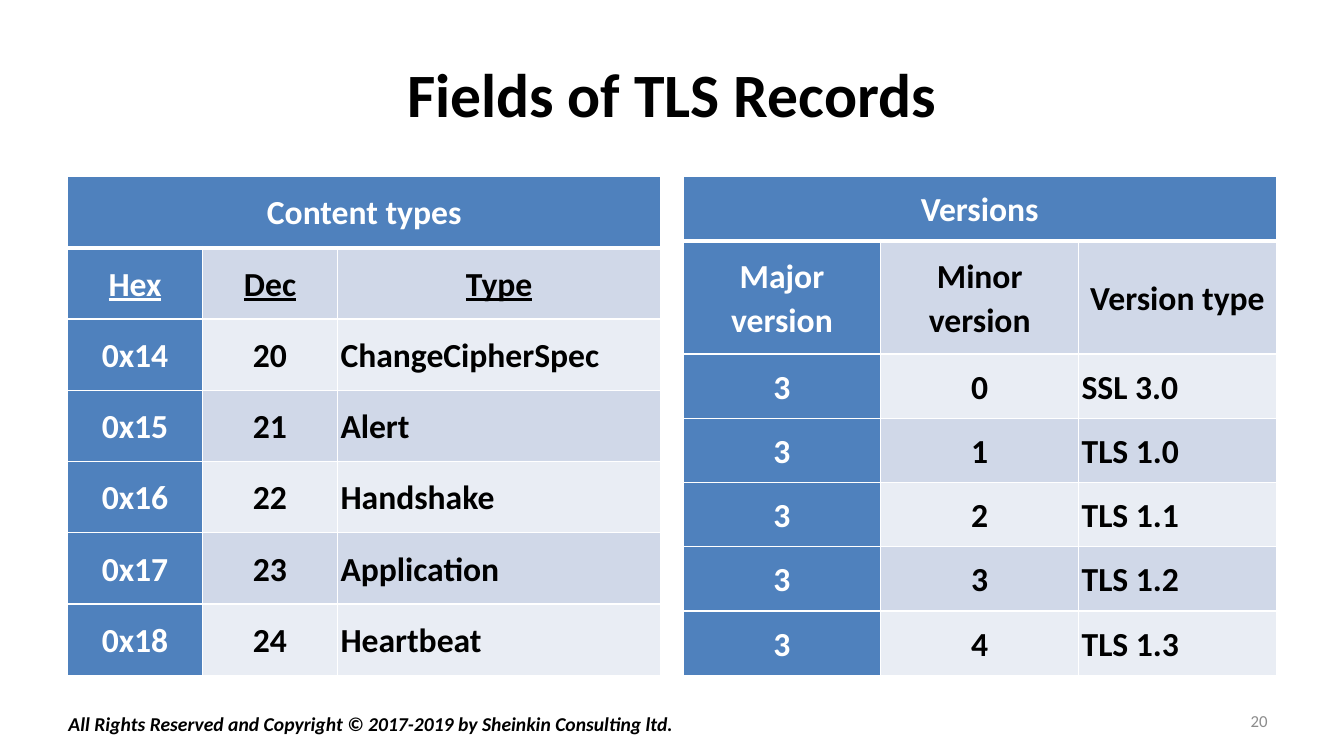
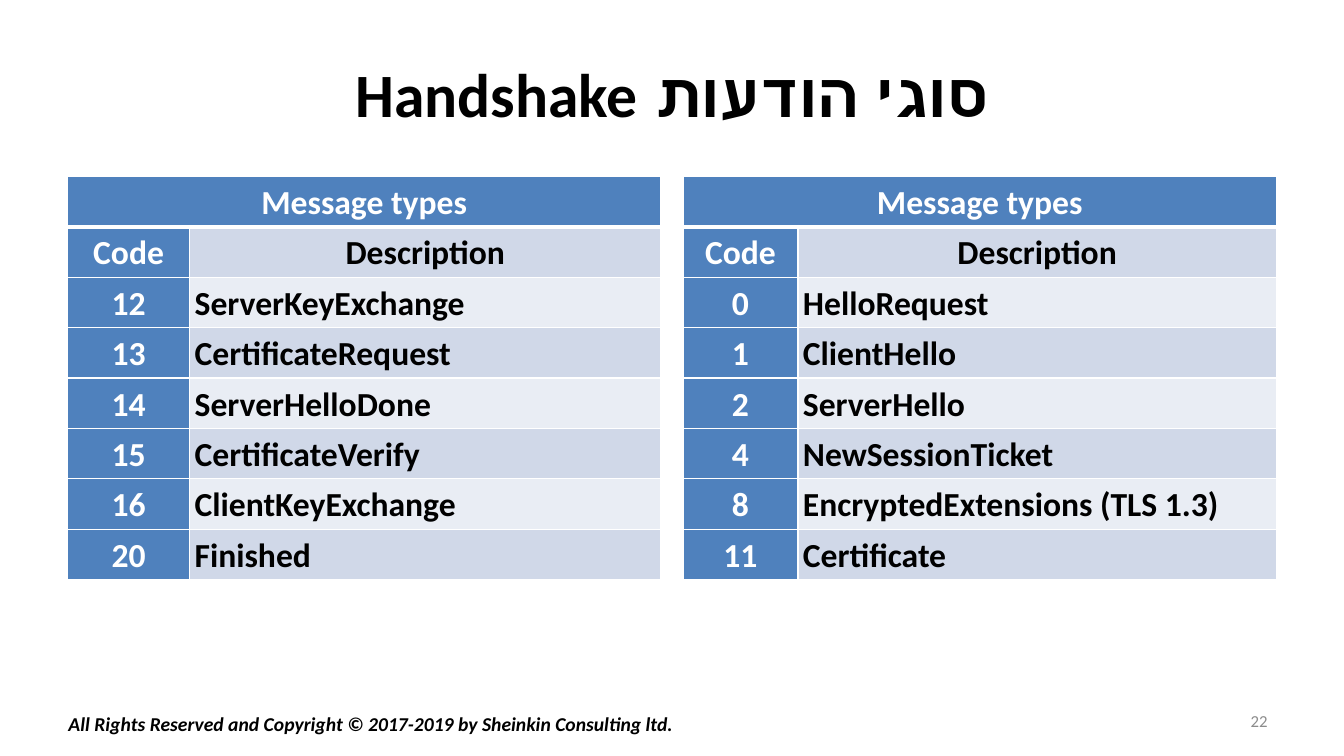
from pptx import Presentation
from pptx.dml.color import RGBColor
from pptx.enum.text import MSO_ANCHOR, PP_ALIGN
from pptx.oxml import parse_xml
from pptx.oxml.ns import nsdecls
from pptx.util import Inches, Pt

BLUE = RGBColor(0x4F, 0x81, 0xBD)
BAND_DARK = RGBColor(0xD0, 0xD8, 0xE8)
BAND_LIGHT = RGBColor(0xE9, 0xED, 0xF4)
WHITE = RGBColor(0xFF, 0xFF, 0xFF)
BLACK = RGBColor(0x00, 0x00, 0x00)
GRAY = RGBColor(0x8C, 0x8C, 0x8C)

LEFT, CENTER, RIGHT = PP_ALIGN.LEFT, PP_ALIGN.CENTER, PP_ALIGN.RIGHT
TOP, MIDDLE = MSO_ANCHOR.TOP, MSO_ANCHOR.MIDDLE
FONT = "Calibri"

# Page grid in inches: two equal columns between the side margins
SLIDE_WIDTH, SLIDE_HEIGHT = 13.33, 7.5
MARGIN, GAP, TABLE_TOP = 0.67, 0.22, 1.75
CONTENT_WIDTH = SLIDE_WIDTH - 2 * MARGIN
TABLE_WIDTH = (CONTENT_WIDTH - GAP) / 2

COPYRIGHT = "All Rights Reserved and Copyright © 2017-2019 by Sheinkin Consulting ltd."

SLIDES = [
    {
        "title": "Fields of TLS Records",
        "number": "20",
        "height": 4.95,
        "insets": (0.03, 0.02),
        "tables": [
            {
                "heading": "Content types",
                "underlined": True,
                "columns": [1.34, 1.34, 3.21],
                "rows": [1] * 7,
                "cells": [
                    ("Hex", "Dec", "Type"),
                    ("0x14", "20", "ChangeCipherSpec"),
                    ("0x15", "21", "Alert"),
                    ("0x16", "22", "Handshake"),
                    ("0x17", "23", "Application"),
                    ("0x18", "24", "Heartbeat"),
                ],
            },
            {
                "heading": "Versions",
                "columns": [1, 1, 1],
                "rows": [0.64, 1.13] + [0.64] * 5,
                "cells": [
                    ("Major\vversion", "Minor\vversion", "Version type"),
                    ("3", "0", "SSL 3.0"),
                    ("3", "1", "TLS 1.0"),
                    ("3", "2", "TLS 1.1"),
                    ("3", "3", "TLS 1.2"),
                    ("3", "4", "TLS 1.3"),
                ],
            },
        ],
    },
    {
        "title": "סוגי הודעות Handshake",
        "number": "22",
        "height": 4.0,
        "insets": (0.05, 0.03),
        "tables": [
            {
                "heading": "Message types",
                "columns": [1.21, 4.67],
                "rows": [1] * 8,
                "cells": [
                    ("Code", "Description"),
                    ("12", "ServerKeyExchange"),
                    ("13", "CertificateRequest"),
                    ("14", "ServerHelloDone"),
                    ("15", "CertificateVerify"),
                    ("16", "ClientKeyExchange"),
                    ("20", "Finished"),
                ],
            },
            {
                "heading": "Message types",
                "columns": [1.14, 4.75],
                "rows": [1] * 8,
                "cells": [
                    ("Code", "Description"),
                    ("0", "HelloRequest"),
                    ("1", "ClientHello"),
                    ("2", "ServerHello"),
                    ("4", "NewSessionTicket"),
                    ("8", "EncryptedExtensions (TLS 1.3)"),
                    ("11", "Certificate"),
                ],
            },
        ],
    },
]


def format_paragraph(paragraph, size, color, align=LEFT, bold=True, italic=False):
    paragraph.alignment = align
    font = paragraph.font
    font.name, font.size = FONT, Pt(size)
    font.bold, font.italic = bold, italic
    font.color.rgb = color


def set_borders(cell, top=1, bottom=1):
    properties = cell._tc.get_or_add_tcPr()
    for side, width in (("L", 1), ("R", 1), ("T", top), ("B", bottom)):
        properties.append(parse_xml(
            f'<a:ln{side} {nsdecls("a")} w="{Pt(width)}"><a:solidFill>'
            f'<a:srgbClr val="{WHITE}"/></a:solidFill></a:ln{side}>'))


def add_title(slide, text):
    title = slide.shapes.title
    title.left, title.top = Inches(MARGIN), Inches(0.3)
    title.width, title.height = Inches(CONTENT_WIDTH), Inches(1.25)
    title.text_frame.vertical_anchor = MIDDLE
    title.text_frame.text = text
    paragraph = title.text_frame.paragraphs[0]
    format_paragraph(paragraph, 44, BLACK, CENTER)
    # Right-to-left reading order
    paragraph._p.get_or_add_pPr().set("rtl", "1")


def add_label(slide, text, box, anchor, **style):
    label = slide.shapes.add_textbox(*(Inches(length) for length in box))
    frame = label.text_frame
    frame.word_wrap = True
    frame.vertical_anchor = anchor
    frame.text = text
    format_paragraph(frame.paragraphs[0], **style)


def add_footer(slide, number):
    add_label(slide, COPYRIGHT, (0.58, 7.01, 8.71, 0.34), TOP,
              size=14, color=BLACK, italic=True)
    add_label(slide, number, (9.56, 6.95, 3.11, 0.4), MIDDLE,
              size=12, color=GRAY, align=RIGHT, bold=False)


def fill_cell(cell, row, column, text, is_last_column, insets, underlined):
    # Borders, with a heavier rule under the heading
    set_borders(cell, top=3 if row == 1 else 1, bottom=3 if row == 0 else 1)
    is_blue = row == 0 or column == 0
    cell.fill.solid()
    cell.fill.fore_color.rgb = BLUE if is_blue else BAND_DARK if row % 2 else BAND_LIGHT
    cell.margin_left = cell.margin_right = Inches(insets[0])
    cell.margin_top = cell.margin_bottom = Inches(insets[1])
    cell.vertical_anchor = MIDDLE
    cell.text = text
    paragraph = cell.text_frame.paragraphs[0]
    paragraph.line_spacing = 1.07
    align = LEFT if row > 1 and is_last_column else CENTER
    format_paragraph(paragraph, 24, WHITE if is_blue else BLACK, align)
    if underlined and row == 1:
        paragraph.font.underline = True


def add_code_table(slide, content, left, height, insets):
    columns, rows = content["columns"], content["rows"]
    table = slide.shapes.add_table(
        len(rows), len(columns), Inches(left), Inches(TABLE_TOP),
        Inches(TABLE_WIDTH), Inches(height)).table

    # Share out width and height by weight
    for column, weight in zip(table.columns, columns):
        column.width = Inches(TABLE_WIDTH * weight / sum(columns))
    for row, weight in zip(table.rows, rows):
        row.height = Inches(height * weight / sum(rows))

    heading = (content["heading"],) + ("",) * (len(columns) - 1)
    for r, texts in enumerate([heading] + content["cells"]):
        for c, text in enumerate(texts):
            fill_cell(table.cell(r, c), r, c, text, c == len(columns) - 1,
                      insets, content.get("underlined", False))
    table.cell(0, 0).merge(table.cell(0, len(columns) - 1))


def add_table_slide(presentation, content):
    slide = presentation.slides.add_slide(presentation.slide_layouts[5])
    add_title(slide, content["title"])
    for index, table in enumerate(content["tables"]):
        left = MARGIN + index * (TABLE_WIDTH + GAP)
        add_code_table(slide, table, left, content["height"], content["insets"])
    add_footer(slide, content["number"])


def main():
    presentation = Presentation()
    presentation.slide_width = Inches(SLIDE_WIDTH)
    presentation.slide_height = Inches(SLIDE_HEIGHT)
    for content in SLIDES:
        add_table_slide(presentation, content)
    presentation.save("out.pptx")


if __name__ == "__main__":
    main()
